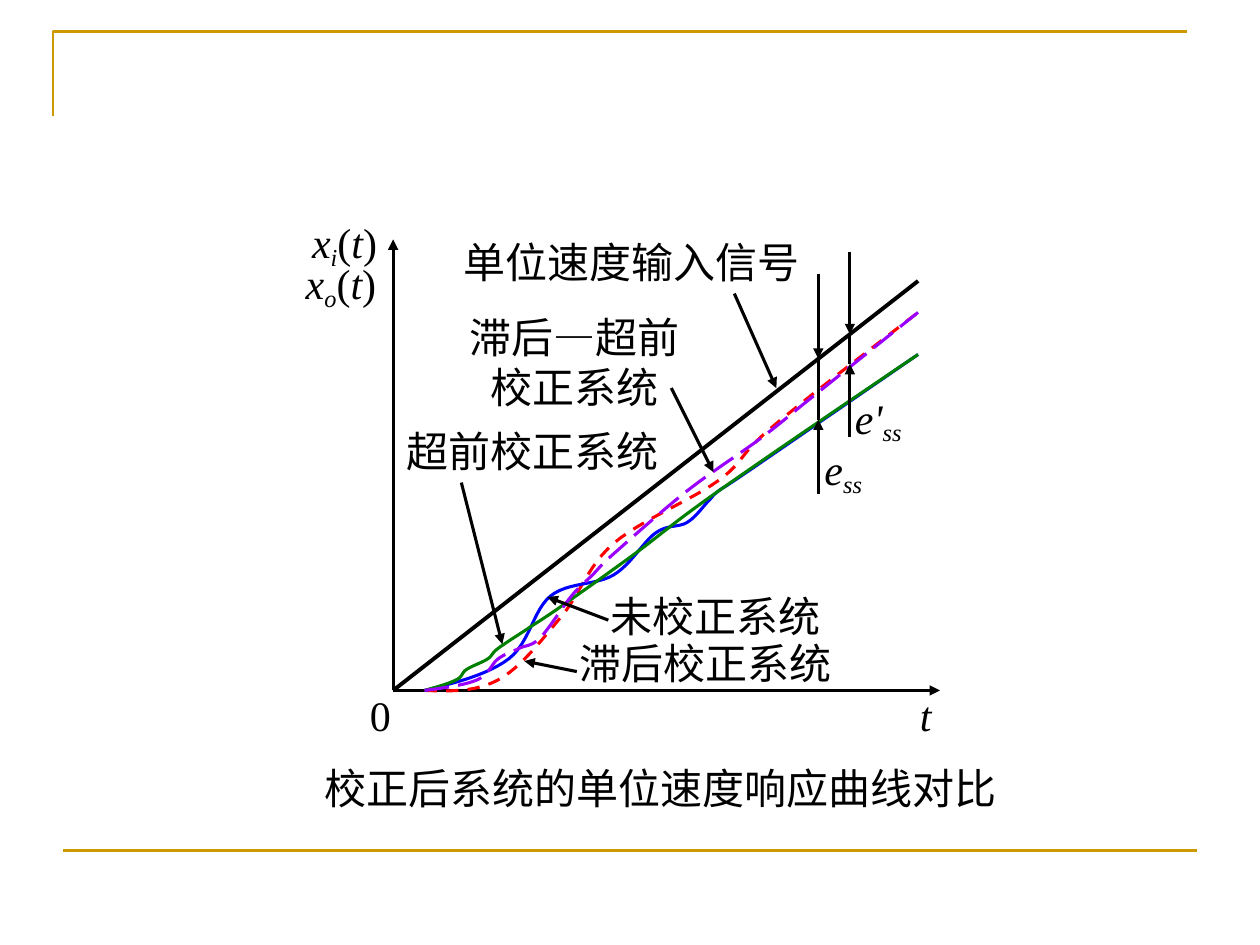
from dataclasses import dataclass

from lxml import etree
from pptx import Presentation
from pptx.dml.color import RGBColor
from pptx.enum.dml import MSO_LINE
from pptx.enum.shapes import MSO_CONNECTOR
from pptx.enum.text import MSO_AUTO_SIZE, PP_ALIGN
from pptx.oxml.ns import qn
from pptx.util import Inches, Pt

GOLD, BLACK = "CC9900", "000000"
LATIN, CJK = "Times New Roman", "Noto Sans CJK SC"
PLAIN, ITALIC, SUBSCRIPT = "plain", "italic", "subscript"

# Everything in the plot is counted in grid steps from the axes' origin, y upward
GRID = 1 / 12
RAMP_END = (50, 39)

# Each response passes smoothly through its waypoints
RESPONSES = [
    # Lag
    ("FF0000", MSO_LINE.DASH,
     [(3, 0), (10, 1), (16, 7), (21, 14), (31, 20), (36, 25), (50, 36)]),
    # Uncorrected
    ("0000FF", None,
     [(3, 0), (11, 3), (15, 9), (21, 11), (25, 15), (28, 16), (30, 18),
      (31, 19), (34, 21), (50, 32)]),
    # Lead
    ("008000", None,
     [(3, 0), (6, 1), (7, 2), (9, 3), (10, 4), (13, 6), (16, 8), (23, 13),
      (31, 19), (50, 32)]),
    # Lag-lead
    ("9900FF", MSO_LINE.LONG_DASH,
     [(3, 0), (8, 1), (10, 3), (12, 4), (14, 5), (17, 9), (19, 11), (21, 13),
      (28, 19), (35, 24), (40, 28), (50, 36)]),
]

# Curve names: lines of text, top left of the label, pointer start and tip
CURVE_NAMES = [
    (["未校正系统"], (19.5, 10.1), (20.5, 6.7), (14.7, 8.9)),
    (["超前校正系统"], (0.1, 25.8), (6.5, 19.8), (10.4, 4.4)),
    (["滞后校正系统"], (16.6, 5.6), (17.5, 1.8), (12.5, 2.8)),
    (["滞后—超前", "校正系统"], (6.1, 36.7), (26.5, 28.8), (30.5, 20.8)),
    (["单位速度输入信号"], (5.5, 43.8), (32.5, 37.8), (36.5, 28.8)),
]

# Axis and error symbols: runs, top left, width in inches
OF_T = [("(", PLAIN), ("t", ITALIC), (")", PLAIN)]
SYMBOLS = [
    ([("0", PLAIN)], (-3.4, 0.7), 0.37),
    ([("t", ITALIC)], (49, 0.7), 0.29),
    ([("x", ITALIC), ("i", SUBSCRIPT)] + OF_T, (-8.9, 45.7), 0.73),
    ([("x", ITALIC), ("o", SUBSCRIPT)] + OF_T, (-9.5, 41.8), 0.77),
    ([("e", ITALIC), ("ss", SUBSCRIPT)], (39.9, 24.1), 0.52),
    ([("e'", ITALIC), ("ss", SUBSCRIPT)], (42.8, 29), 0.59),
]

# Steady-state errors: x, top of marker, response height, bottom of marker
ERRORS = [(40.5, 39.7, 25.8, 18.7), (43.5, 41.8, 31.1, 24.1)]


@dataclass
class Plot:
    left: float
    top: float
    width: float
    height: float

    def place(self, point):
        """Turn grid steps into inches on the slide."""
        x, y = point
        return self.left + x * GRID, self.top + self.height - y * GRID


def color(value):
    return RGBColor.from_string(value)


def style_line(shape, stroke, width, dash=None):
    shape.line.color.rgb = color(stroke)
    shape.line.width = Pt(width)
    if dash:
        shape.line.dash_style = dash


def add_path(slide, points, stroke, width, dash=None):
    corners = [(Inches(x), Inches(y)) for x, y in points]
    builder = slide.shapes.build_freeform(*corners[0])
    builder.add_line_segments(corners[1:], close=False)
    path = builder.convert_to_shape()
    path.shadow.inherit = False
    path.fill.background()
    style_line(path, stroke, width, dash)


def add_line(slide, start, end, stroke=BLACK, width=1.75, arrow=False):
    ends = [Inches(value) for value in (*start, *end)]
    line = slide.shapes.add_connector(MSO_CONNECTOR.STRAIGHT, *ends)
    style_line(line, stroke, width)
    if arrow:
        etree.SubElement(line.line._get_or_add_ln(), qn("a:tailEnd"), type="triangle")
    etree.SubElement(line._element.spPr, qn("a:effectLst"))


def add_label(slide, corner, width, lines, font=LATIN, wrap=False):
    left, top = corner
    height = 0.1 + 0.4 * len(lines)
    box = slide.shapes.add_textbox(Inches(left), Inches(top), Inches(width), Inches(height))
    frame = box.text_frame
    frame.word_wrap = wrap
    frame.auto_size = MSO_AUTO_SIZE.SHAPE_TO_FIT_TEXT
    for index, runs in enumerate(lines):
        paragraph = frame.add_paragraph() if index else frame.paragraphs[0]
        paragraph.alignment = PP_ALIGN.CENTER if len(lines) > 1 else PP_ALIGN.LEFT
        paragraph.font.size = Pt(24)
        paragraph.font.color.rgb = color(BLACK)
        paragraph.font.name = font
        defaults = paragraph._p.pPr.find(qn("a:defRPr"))
        etree.SubElement(defaults, qn("a:ea"), typeface=CJK)
        for text, style in runs:
            run = paragraph.add_run()
            run.text = text
            if style != PLAIN:
                run.font.italic = True
            if style == SUBSCRIPT:
                run._r.get_or_add_rPr().set("baseline", "-18000")


def midpoint(a, b):
    return (a[0] + b[0]) / 2, (a[1] + b[1]) / 2


def bezier_point(controls, t):
    """Halve the control polygon down to one point, at share t of each side."""
    while len(controls) > 1:
        controls = [(ax + (bx - ax) * t, ay + (by - ay) * t)
                    for (ax, ay), (bx, by) in zip(controls, controls[1:])]
    return controls[0]


def smooth(waypoints, steps=12):
    """Join waypoints by curves whose tangents follow the neighbouring waypoints."""
    def handle(index, direction):
        (x, y), before, after = waypoints[index], waypoints[index - 1], waypoints[index + 1]
        return (x + direction * (after[0] - before[0]) / 6,
                y + direction * (after[1] - before[1]) / 6)

    points = [waypoints[0]]
    last = len(waypoints) - 2
    for index in range(last + 1):
        start, end = waypoints[index], waypoints[index + 1]
        leave = handle(index, 1) if index > 0 else midpoint(start, handle(1, -1))
        arrive = handle(index + 1, -1) if index < last else midpoint(leave, end)
        points += [bezier_point([start, leave, arrive, end], step / steps)
                   for step in range(1, steps + 1)]
    return points


def add_frame(slide, left, top, width, height):
    # Gold corner above and rule below
    add_path(slide, [(left, top + 0.67), (left, top), (left + width, top)], GOLD, 1.5)
    rule_left, rule_y = left + 0.08, top + height
    add_line(slide, (rule_left, rule_y), (rule_left + width, rule_y), GOLD, 1.5)


def add_error_marker(slide, plot, x, top, response, bottom):
    ramp = x * RAMP_END[1] / RAMP_END[0]
    above, upper, lower, below = [plot.place((x, y)) for y in (top, ramp, response, bottom)]
    add_line(slide, above, upper, arrow=True)
    add_line(slide, below, lower, arrow=True)
    add_line(slide, lower, upper)


def add_response_plot(slide, left, top, width, height):
    plot = Plot(left, top, width, height)
    origin = plot.place((0, 0))

    # Input ramp, axes and responses
    add_path(slide, [origin, plot.place(RAMP_END)], BLACK, 2.25)
    for axis_end in ((left, top), (left + width, top + height)):
        add_line(slide, origin, axis_end, arrow=True)
    for stroke, dash, waypoints in RESPONSES:
        curve = [plot.place(point) for point in smooth(waypoints)]
        add_path(slide, curve, stroke, 1.75, dash)

    # Names with pointers: each character is a third of an inch wide
    for lines, corner, start, tip in CURVE_NAMES:
        name_width = 0.2 + max(map(len, lines)) / 3
        add_label(slide, plot.place(corner), name_width, [[(text, PLAIN)] for text in lines])
        add_line(slide, plot.place(start), plot.place(tip), arrow=True)

    # Error markers and symbols
    for error in ERRORS:
        add_error_marker(slide, plot, *error)
    for runs, corner, symbol_width in SYMBOLS:
        add_label(slide, plot.place(corner), symbol_width, [runs])


def add_caption(slide, left, top, width):
    add_label(slide, (left, top), width,
              [[("校正后系统的单位速度响应曲线对比", PLAIN)]], CJK, wrap=True)


def main():
    deck = Presentation()
    deck.slide_width, deck.slide_height = Inches(10), Inches(7.5)
    slide = deck.slides.add_slide(deck.slide_layouts[6])
    add_frame(slide, 0.42, 0.25, 9, 6.5)
    add_response_plot(slide, 3.12, 1.9, 4.34, 3.58)
    add_caption(slide, 2.48, 6, 6.43)
    deck.save("out.pptx")


if __name__ == "__main__":
    main()
